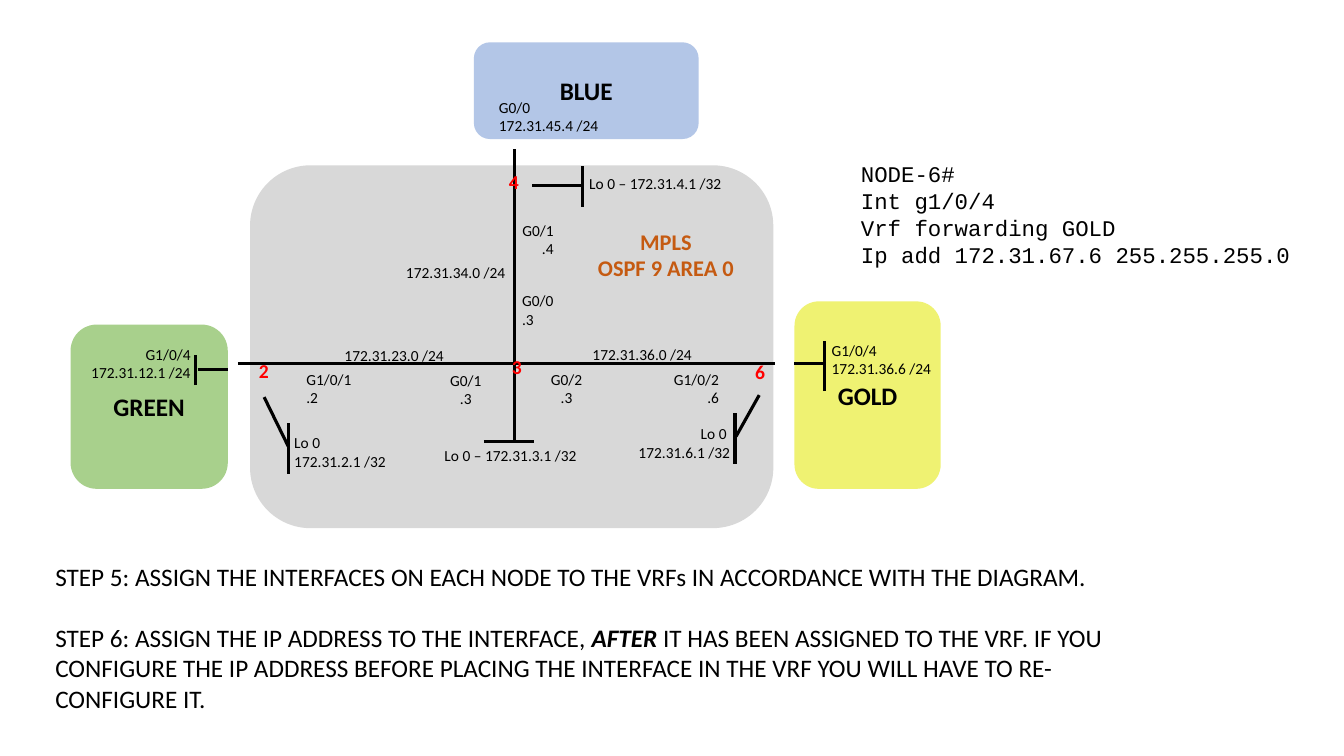
import dataclasses
import typing

import pptx
import pptx.dml.color
import pptx.enum.shapes
import pptx.enum.text
import pptx.oxml
import pptx.oxml.ns
import pptx.util

Inches = pptx.util.Inches
ALIGN = pptx.enum.text.PP_ALIGN
LEFT, CENTER, RIGHT = ALIGN.LEFT, ALIGN.CENTER, ALIGN.RIGHT

COLORS = {
    "black": "000000",
    "node": "FF0000",
    "core": "D8D8D8",
    "core_title": "C55A11",
    "blue": "B3C6E7",
    "green": "A8D08C",
    "gold": "EFF272",
}


@dataclasses.dataclass
class Region:
    """A rounded network area with an optional name."""
    left: float
    top: float
    width: float
    height: float
    color: str
    name: str = ""


@dataclasses.dataclass
class Link:
    """A straight line between two points."""
    x1: float
    y1: float
    x2: float
    y2: float


@dataclasses.dataclass
class Label:
    """Text lines at a place on the diagram."""
    left: float
    top: float
    width: float
    lines: list[str]
    align: typing.Any = LEFT


REGIONS = [
    Region(7.88, 2.99, 1.45, 1.86, "gold", "GOLD"),
    Region(2.48, 1.64, 5.19, 3.6, "core"),
    Region(0.7, 3.22, 1.56, 1.63, "green", "GREEN"),
    Region(4.7, 0.42, 2.23, 0.96, "blue", "BLUE"),
]

LINKS = [
    # Backbone
    Link(5.1, 4.38, 5.1, 1.48),
    Link(2.36, 3.61, 7.69, 3.61),
    # Loopbacks of nodes 4, 3, 2 and 6
    Link(5.28, 1.84, 5.78, 1.84),
    Link(5.78, 2.05, 5.78, 1.65),
    Link(4.8, 4.38, 5.3, 4.38),
    Link(2.62, 3.94, 2.86, 4.43),
    Link(2.86, 4.7, 2.86, 4.2),
    Link(7.53, 3.92, 7.3, 4.33),
    Link(7.29, 4.6, 7.29, 4.1),
    # Green and gold customer ports
    Link(1.96, 3.67, 2.26, 3.67),
    Link(1.94, 3.82, 1.94, 3.52),
    Link(7.88, 3.61, 8.18, 3.61),
    Link(8.18, 3.88, 8.18, 3.38),
]

ADDRESS_LABELS = [
    # Interfaces
    Label(5.05, 2.14, 0.54, ["G0/1", ".4"], RIGHT),
    Label(5.08, 2.84, 0.76, ["G0/0", ".3"]),
    Label(2.94, 3.62, 1.07, ["G1/0/1", ".2"]),
    Label(4.24, 3.63, 0.76, ["G0/1", ".3"], CENTER),
    Label(5.24, 3.62, 0.76, ["G0/2", ".3"], CENTER),
    Label(6.12, 3.62, 1.11, ["G1/0/2", ".6"], RIGHT),
    # Subnets
    Label(3.73, 2.56, 1.58, ["172.31.34.0 /24"], CENTER),
    Label(3.12, 3.38, 1.58, ["172.31.23.0 /24"], CENTER),
    Label(5.58, 3.37, 1.58, ["172.31.36.0 /24"], CENTER),
    # Loopbacks
    Label(5.64, 1.68, 1.72, ["Lo 0 – 172.31.4.1 /32"], CENTER),
    Label(4.31, 4.38, 2.99, ["Lo 0 – 172.31.3.1 /32"]),
    Label(2.82, 4.25, 1.17, ["Lo 0", "172.31.2.1 /32"]),
    Label(6.17, 4.16, 1.17, ["Lo 0 ", "172.31.6.1 /32"], RIGHT),
    # Customer ports
    Label(4.85, 0.92, 1.58, ["G0/0", "172.31.45.4 /24"]),
    Label(0.41, 3.37, 1.58, ["G1/0/4", "172.31.12.1 /24"], RIGHT),
    Label(8.15, 3.33, 1.58, ["G1/0/4", "172.31.36.6 /24"]),
]

NODE_LABELS = [
    Label(2.47, 3.51, 0.3, ["2"]),
    Label(4.98, 3.47, 0.3, ["3"]),
    Label(4.95, 1.64, 0.3, ["4"]),
    Label(7.39, 3.52, 0.3, ["6"]),
]

CORE_TITLE = Label(5.82, 2.21, 1.57, ["MPLS", "OSPF 9 AREA 0"], CENTER)

COMMANDS = Label(8.44, 1.54, 4.52, [
    "NODE-6#",
    "Int g1/0/4",
    "Vrf forwarding GOLD",
    "Ip add 172.31.67.6 255.255.255.0",
])

# Asterisks enclose the emphasised words
STEPS = Label(0.45, 5.52, 11.1, [
    "STEP 5: ASSIGN THE INTERFACES ON EACH NODE TO THE VRFs IN ACCORDANCE "
    "WITH THE DIAGRAM.",
    "STEP 6: ASSIGN THE IP ADDRESS TO THE INTERFACE, *AFTER *IT HAS BEEN "
    "ASSIGNED TO THE VRF. IF YOU CONFIGURE THE IP ADDRESS BEFORE PLACING THE "
    "INTERFACE IN THE VRF YOU WILL HAVE TO RE-CONFIGURE IT.",
])


def rgb(name: str) -> pptx.dml.color.RGBColor:
    return pptx.dml.color.RGBColor.from_string(COLORS[name])


def write_text(frame, lines: list[str], *, size: float = 11, color: str = "black",
               bold: bool = False, font: str = "Calibri", align=LEFT,
               gap: float = 0) -> None:
    """Fill a text frame with one paragraph per line."""
    frame.word_wrap = True
    for index, line in enumerate(lines):
        paragraph = frame.paragraphs[0] if index == 0 else frame.add_paragraph()
        paragraph.alignment = align
        if index and gap:
            paragraph.space_before = pptx.util.Pt(gap)
        for part, text in enumerate(line.split("*")):
            emphasised = part % 2 == 1
            run = paragraph.add_run()
            run.text = text
            run.font.name = font
            run.font.size = pptx.util.Pt(size)
            run.font.bold = bold or emphasised
            run.font.italic = emphasised
            run.font.color.rgb = rgb(color)


def draw_region(slide, region: Region) -> None:
    shape = slide.shapes.add_shape(
        pptx.enum.shapes.MSO_SHAPE.ROUNDED_RECTANGLE,
        Inches(region.left), Inches(region.top),
        Inches(region.width), Inches(region.height))
    shape.shadow.inherit = False
    shape.fill.solid()
    shape.fill.fore_color.rgb = rgb(region.color)
    shape.line.fill.background()
    if region.name:
        shape.text_frame.vertical_anchor = pptx.enum.text.MSO_ANCHOR.MIDDLE
        write_text(shape.text_frame, [region.name], size=18, bold=True, align=CENTER)


def draw_link(slide, link: Link) -> None:
    connector = slide.shapes.add_connector(
        pptx.enum.shapes.MSO_CONNECTOR.STRAIGHT,
        Inches(link.x1), Inches(link.y1), Inches(link.x2), Inches(link.y2))
    connector.line.color.rgb = rgb("black")
    connector.line.width = pptx.util.Pt(2.25)
    properties = connector._element.spPr
    properties.append(pptx.oxml.parse_xml(
        f"<a:effectLst {pptx.oxml.ns.nsdecls('a')}/>"))


def draw_label(slide, label: Label, *, size: float = 11, gap: float = 0,
               **text_format) -> None:
    height = 0.1 + (len(label.lines) * size * 1.22 + gap) / 72
    box = slide.shapes.add_textbox(Inches(label.left), Inches(label.top),
                                   Inches(label.width), Inches(height))
    write_text(box.text_frame, label.lines, size=size, gap=gap,
               align=label.align, **text_format)


def main() -> None:
    presentation = pptx.Presentation()
    presentation.slide_width = Inches(13.33)
    presentation.slide_height = Inches(7.5)
    slide = presentation.slides.add_slide(presentation.slide_layouts[6])

    # Network diagram
    for region in REGIONS:
        draw_region(slide, region)
    for link in LINKS:
        draw_link(slide, link)
    for label in ADDRESS_LABELS:
        draw_label(slide, label)
    for label in NODE_LABELS:
        draw_label(slide, label, size=14, color="node", bold=True)
    draw_label(slide, CORE_TITLE, size=16, color="core_title", bold=True)

    # Commands and instructions
    draw_label(slide, COMMANDS, size=16, font="Courier New")
    draw_label(slide, STEPS, size=18, gap=22)

    presentation.save("out.pptx")


if __name__ == "__main__":
    main()
